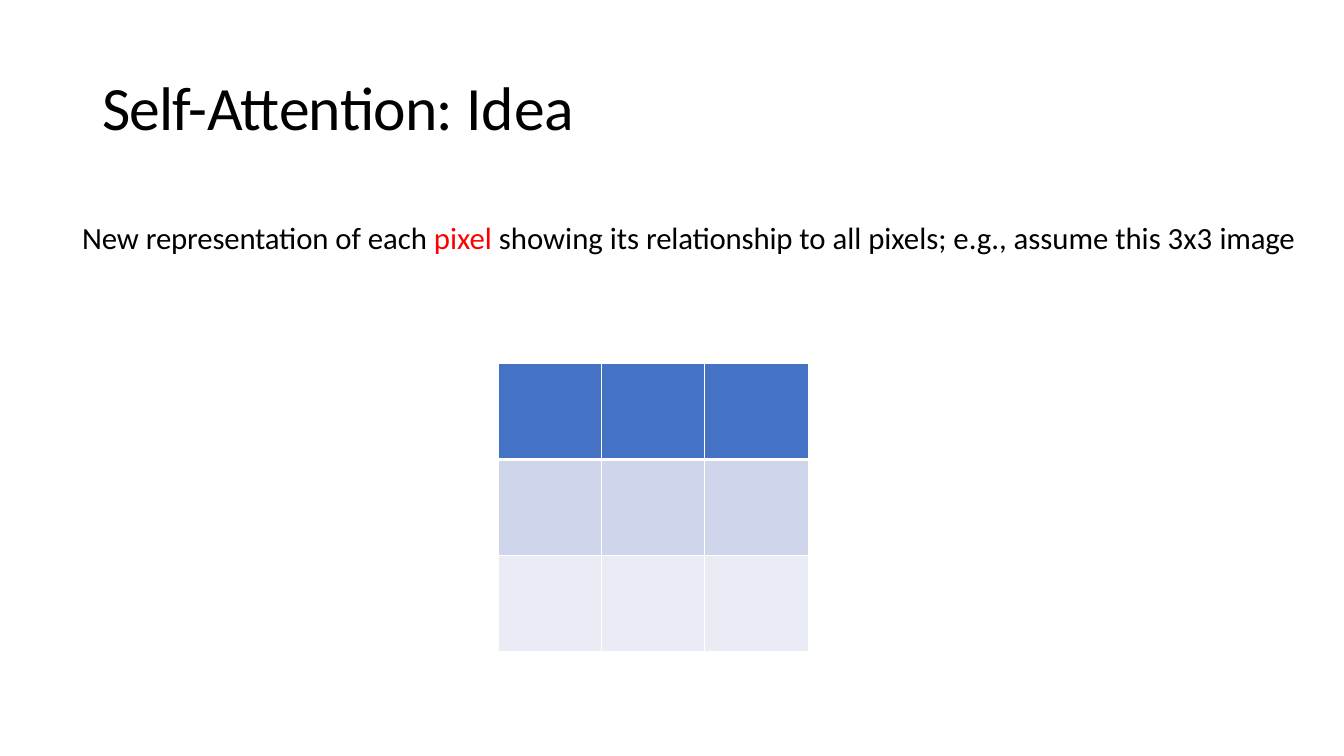
import pptx
import pptx.util
import pptx.dml.color
import pptx.enum.text
import pptx.oxml
import pptx.oxml.ns

Pt = pptx.util.Pt
HUES = {"ink": "000000", "pixel": "FF0000", "line": "FFFFFF",
        "head": "4472C4", "odd": "CFD5EA", "even": "E9EBF5"}
TEXTS = [
    {"box": (72, 48.24, 856.8, 54.72), "size": 44, "runs": [
        ("Self-", "ink", -70), ("Attention: ", "ink", -50), ("Idea", "ink", -20)]},
    {"box": (57.6, 155.52, 872.64, 28.08), "size": 22, "runs": [
        ("New ", "ink", 0), ("representation ", "ink", -10),
        ("of each ", "ink", 0), ("pixel ", "pixel", 0),
        ("showing its ", "ink", 0), ("relationship ", "ink", -10),
        ("to all pixels; e.g., assume this 3x3 ", "ink", 0),
        ("image", "ink", -10)]},
]
ROWS = ["head", "odd", "even"]
COLS = 3
LEFT, TOP, CELL_W, CELL_H = 355.68, 259.92, 73.92, 68.4


def color(name):
    return pptx.dml.color.RGBColor.from_string(HUES[name])


def add_text(slide, item):
    frame = slide.shapes.add_textbox(*map(Pt, item["box"])).text_frame
    frame.word_wrap = True
    frame.auto_size = pptx.enum.text.MSO_AUTO_SIZE.SHAPE_TO_FIT_TEXT
    frame.margin_left = frame.margin_right = frame.margin_bottom = 0
    frame.margin_top = Pt(1)
    para = frame.paragraphs[0]
    para.space_before = Pt(1)
    para._p.get_or_add_pPr().set("marL", str(Pt(1)))
    for words, hue, gap in item["runs"]:
        run = para.add_run()
        run.text = words
        run.font.name = "Calibri"
        run.font.size = Pt(item["size"])
        run.font.color.rgb = color(hue)
        run._r.get_or_add_rPr().set("spc", str(gap))


def add_edge(cell, side, width):
    cell._tc.get_or_add_tcPr().append(pptx.oxml.parse_xml(
        f'<a:ln{side} {pptx.oxml.ns.nsdecls("a")} w="{Pt(width)}">'
        f'<a:solidFill><a:srgbClr val="{HUES["line"]}"/></a:solidFill>'
        f'</a:ln{side}>'))


def add_grid(slide):
    table = slide.shapes.add_table(
        len(ROWS), COLS, Pt(LEFT), Pt(TOP),
        Pt(CELL_W * COLS), Pt(CELL_H * len(ROWS))).table
    for col in table.columns:
        col.width = Pt(CELL_W)
    for i, hue in enumerate(ROWS):
        table.rows[i].height = Pt(CELL_H)
        for cell in table.rows[i].cells:
            edges = {"L": 1, "R": 1, "T": 3 if i == 1 else 1,
                     "B": 3 if i == 0 else 1}
            for side, width in edges.items():
                add_edge(cell, side, width)
            cell.fill.solid()
            cell.fill.fore_color.rgb = color(hue)


def main():
    deck = pptx.Presentation()
    deck.slide_width, deck.slide_height = Pt(960), Pt(540)
    slide = deck.slides.add_slide(deck.slide_layouts[6])
    for item in TEXTS:
        add_text(slide, item)
    add_grid(slide)
    deck.save("out.pptx")


if __name__ == "__main__":
    main()
